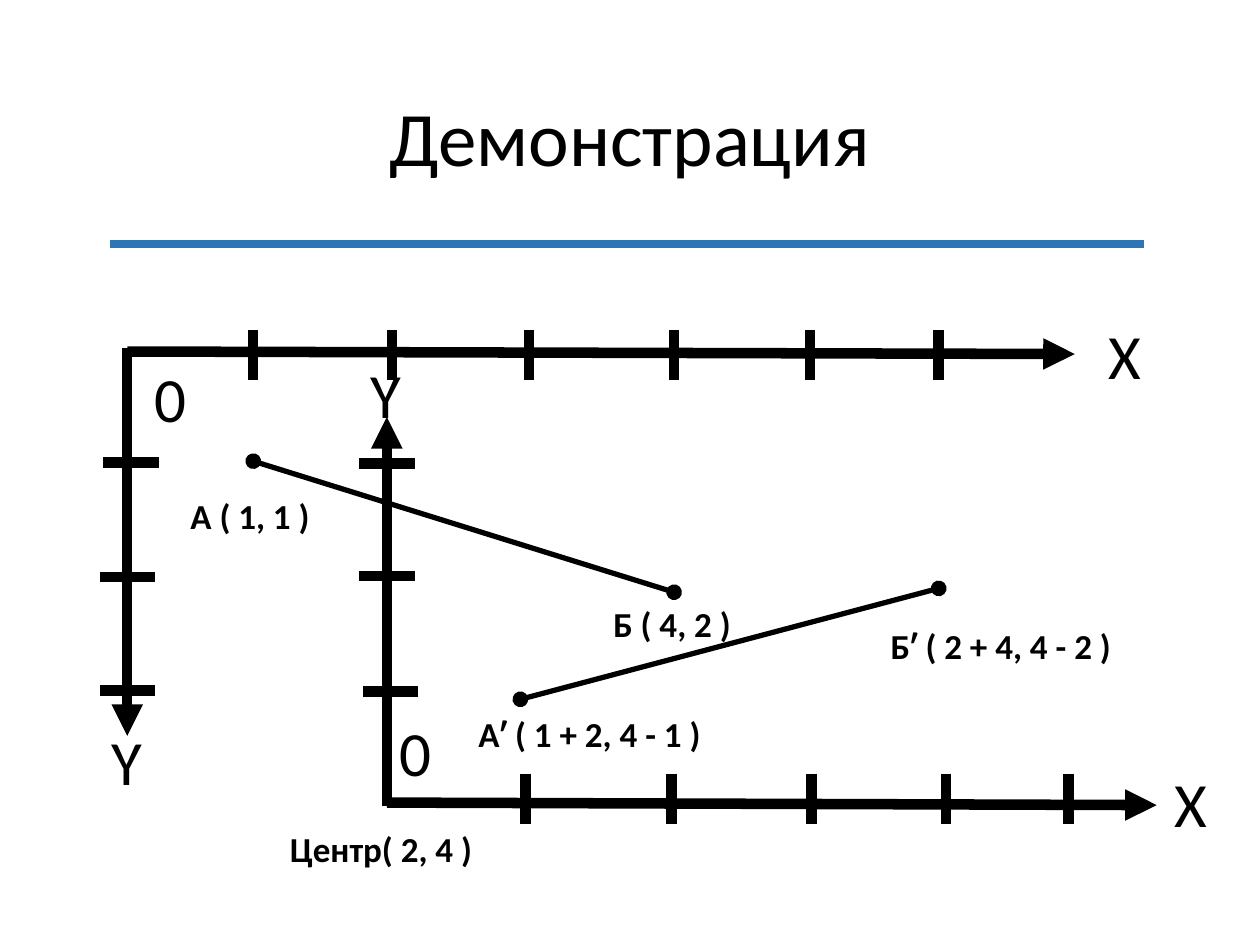
import pptx
import pptx.util
from lxml import etree
from pptx.dml.color import RGBColor
from pptx.enum.shapes import MSO_CONNECTOR, MSO_SHAPE
from pptx.enum.text import MSO_ANCHOR, PP_ALIGN
from pptx.oxml.ns import qn
from pptx.util import Inches, Pt

BLACK, WHITE, BLUE = "000000", "FFFFFF", "2E75B6"
TICK_HALF_HEIGHT, TICK_HALF_WIDTH = 0.2, 0.22
JOINT = 0.03  # small overlap where the two axes meet


def color(hex_value):
    return RGBColor.from_string(hex_value)


def add_line(slide, start, end, width, hex_value=BLACK, head=None, tail=None):
    line = slide.shapes.add_connector(
        MSO_CONNECTOR.STRAIGHT, *(Inches(v) for v in (*start, *end)))
    line.line.width = Pt(width)
    line.line.color.rgb = color(hex_value)
    properties = line.line._get_or_add_ln()
    for tag, ending in (("a:headEnd", head), ("a:tailEnd", tail)):
        if ending:
            etree.SubElement(properties, qn(tag), type=ending)
    etree.SubElement(line._element.spPr, qn("a:effectLst"))


def format_text(frame, text, size, bold=False):
    frame.word_wrap = True
    frame.vertical_anchor = MSO_ANCHOR.MIDDLE
    frame.text = text
    paragraph = frame.paragraphs[0]
    paragraph.alignment = PP_ALIGN.CENTER
    font = paragraph.runs[0].font
    font.name, font.size, font.bold = "Calibri", Pt(size), bold
    font.color.rgb = color(BLACK)


def add_label(slide, text, box, size=20, bold=True):
    label = slide.shapes.add_shape(
        MSO_SHAPE.RECTANGLE, *(Inches(v) for v in box))
    label.shadow.inherit = False
    label.fill.solid()
    label.fill.fore_color.rgb = color(WHITE)
    label.line.fill.background()
    format_text(label.text_frame, text, size, bold)


def add_title(slide, left, top, width, height):
    title = slide.shapes.add_textbox(
        Inches(left), Inches(top), Inches(width), Inches(height))
    format_text(title.text_frame, "Демонстрация", 44)
    title.text_frame.paragraphs[0].line_spacing = 0.9
    add_line(slide, (0.87, 1.94), (9.08, 1.94), 4.5, BLUE)


def add_axes(slide, origin, x_end, y_end, x_ticks, y_ticks, names):
    """Draw X to the right and Y towards y_end, which may lie above or below."""
    left, base = origin
    shift = JOINT if y_end > base else -JOINT
    for name, box in names:
        add_label(slide, name, box, size=36, bold=False)
    add_line(slide, origin, (x_end, base + 0.02), 6, tail="triangle")
    add_line(slide, (left, base - shift), (left, y_end), 6, tail="triangle")
    for x in x_ticks:
        middle = base + shift
        add_line(slide, (x, middle - TICK_HALF_HEIGHT),
                 (x, middle + TICK_HALF_HEIGHT), 6)
    for y in y_ticks:
        middle = left + JOINT if y == y_ticks[0] else left
        add_line(slide, (middle + TICK_HALF_WIDTH, y),
                 (middle - TICK_HALF_WIDTH, y), 6)


def add_segment(slide, start, end):
    add_line(slide, start, end, 3, head="oval", tail="oval")


def main():
    deck = pptx.Presentation()
    deck.slide_width, deck.slide_height = Inches(10), Inches(7.5)
    slide = deck.slides.add_slide(deck.slide_layouts[6])

    add_axes(slide, (3.07, 6.37), 9.18, 3.31,
             x_ticks=(4.17, 5.33, 6.44, 7.51, 8.48),
             y_ticks=(5.49, 4.57, 3.68),
             names=(("0", (2.87, 5.59, 0.86, 0.74)),
                    ("Y", (2.53, 2.6, 1.06, 1.05)),
                    ("X", (8.92, 5.84, 1.06, 1.05))))
    for text, box in (("Центр( 2, 4 )", (1.99, 6.51, 2.07, 0.45)),
                      ("Аʹ ( 1 + 2, 4 - 1 )", (3.6, 5.6, 2.16, 0.45)),
                      ("Б ( 4, 2 )", (4.62, 4.72, 1.43, 0.45)),
                      ("А ( 1, 1 )", (1.27, 3.87, 1.43, 0.45))):
        add_label(slide, text, box)

    add_title(slide, 0.69, 0.4, 8.62, 1.45)
    add_axes(slide, (1.01, 2.79), 8.53, 5.84,
             x_ticks=(2.01, 3.11, 4.2, 5.35, 6.43, 7.45),
             y_ticks=(3.67, 4.58, 5.48),
             names=(("0", (0.82, 2.63, 1.06, 1.05)),
                    ("Y", (0.48, 5.51, 1.06, 1.05)),
                    ("X", (8.4, 2.29, 1.06, 1.05))))
    add_segment(slide, (2.01, 3.66), (5.35, 4.7))
    add_segment(slide, (4.13, 5.55), (7.45, 4.67))
    add_label(slide, "Бʹ ( 2 + 4, 4 - 2 )", (6.71, 4.9, 2.47, 0.45))

    deck.save("out.pptx")


if __name__ == "__main__":
    main()
